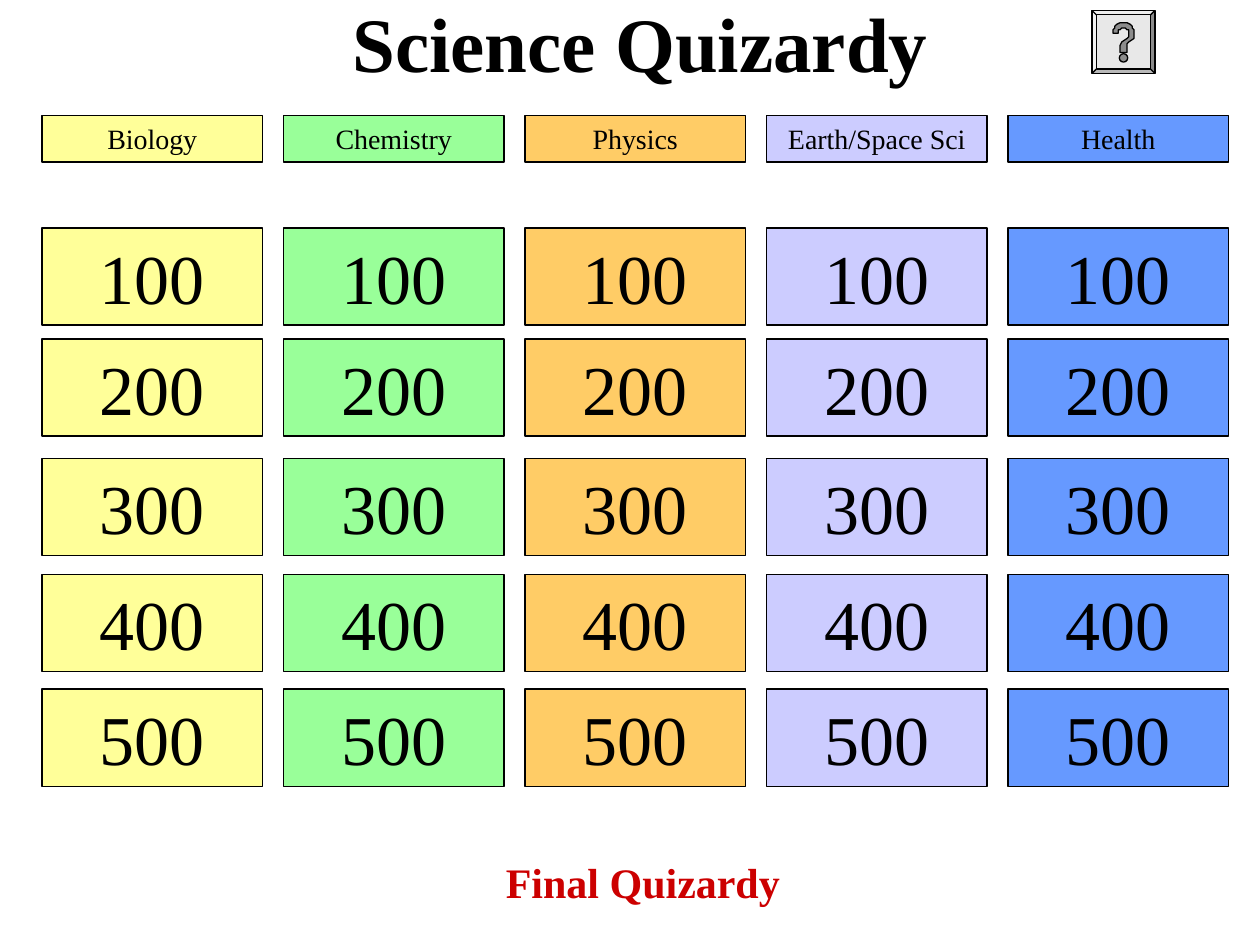
from math import cos, pi, sin

from pptx import Presentation
from pptx.dml.color import RGBColor
from pptx.enum.shapes import MSO_SHAPE
from pptx.enum.text import MSO_ANCHOR, PP_ALIGN
from pptx.util import Pt

RECT, BEVEL, OVAL = MSO_SHAPE.RECTANGLE, MSO_SHAPE.BEVEL, MSO_SHAPE.OVAL
TOP, CENTER, LEFT = MSO_ANCHOR.TOP, PP_ALIGN.CENTER, PP_ALIGN.LEFT
FONT = "Times New Roman"
BLACK = RGBColor(0x00, 0x00, 0x00)
RED = RGBColor(0xCC, 0x00, 0x00)
PALE = RGBColor(0xE8, 0xE8, 0xE8)
GRAY = RGBColor(0x8C, 0x8C, 0x8C)
YELLOW = RGBColor(0xFF, 0xFF, 0x99)
GREEN = RGBColor(0x99, 0xFF, 0x99)
ORANGE = RGBColor(0xFF, 0xCC, 0x66)
LILAC = RGBColor(0xCC, 0xCC, 0xFF)
BLUE = RGBColor(0x66, 0x99, 0xFF)

TOPICS = [("Biology", YELLOW), ("Chemistry", GREEN), ("Physics", ORANGE),
          ("Earth/Space Sci", LILAC), ("Health", BLUE)]
ROWS = [("100", 130.3), ("200", 193.7), ("300", 262.1), ("400", 328.3), ("500", 393.8)]

prs = Presentation()
prs.slide_width, prs.slide_height = Pt(720), Pt(540)
slide = prs.slides.add_slide(prs.slide_layouts[6])
shapes = slide.shapes


def paint(shape, fill):
    shape.shadow.inherit = False
    shape.fill.solid()
    shape.fill.fore_color.rgb = fill
    shape.line.color.rgb = BLACK
    shape.line.width = Pt(0.75)


def write(shape, text, size, align=CENTER, color=BLACK, bold=False):
    frame = shape.text_frame
    frame.word_wrap = True
    frame.vertical_anchor = TOP
    frame.text = text
    para = frame.paragraphs[0]
    para.alignment = align
    font = para.runs[0].font
    font.name, font.size, font.bold = FONT, Pt(size), bold
    font.color.rgb = color


title = shapes.add_textbox(Pt(60), Pt(-6), Pt(612), Pt(48))
write(title, "Science Quizardy", 44, bold=True)

# Board: one column per topic, a heading above five values
for col, (topic, fill) in enumerate(TOPICS):
    left = Pt(24 + 138 * col)
    for value, top in ROWS:
        cell = shapes.add_shape(RECT, left, Pt(top), Pt(126), Pt(55.5))
        paint(cell, fill)
        write(cell, value, 40)
    head = shapes.add_shape(RECT, left, Pt(66), Pt(126), Pt(26.6))
    paint(head, fill)
    write(head, topic, 16)

# Help button: the hook of the question mark runs along two arcs
button = shapes.add_shape(BEVEL, Pt(624), Pt(6), Pt(36), Pt(36))
button.adjustments[0] = 0.07
paint(button, PALE)

mid, base = 642, 19.2
turns = [pi * step / 16 for step in range(17)]
outer = [(mid - 6.5 * cos(a), base - 6.5 * sin(a)) for a in turns]
inner = [(mid + 3.2 * cos(a), base - 3.2 * sin(a)) for a in turns]
stem = [(647.8, 21.7), (645.3, 23.7), (644, 25), (643.6, 26.8), (643.6, 29.5),
        (640.4, 29.5), (640.4, 26.5), (641.2, 23.5), (643.6, 21.6), (644.7, 20.7)]
points = outer + stem + inner
pen = shapes.build_freeform(*points[0], scale=Pt(1))
pen.add_line_segments(points[1:], close=True)
paint(pen.convert_to_shape(), GRAY)
paint(shapes.add_shape(OVAL, Pt(639.6), Pt(30.7), Pt(4.8), Pt(4.8)), GRAY)

final = shapes.add_textbox(Pt(282), Pt(486), Pt(186), Pt(36))
write(final, "Final Quizardy", 24, LEFT, RED, True)

prs.save("out.pptx")
